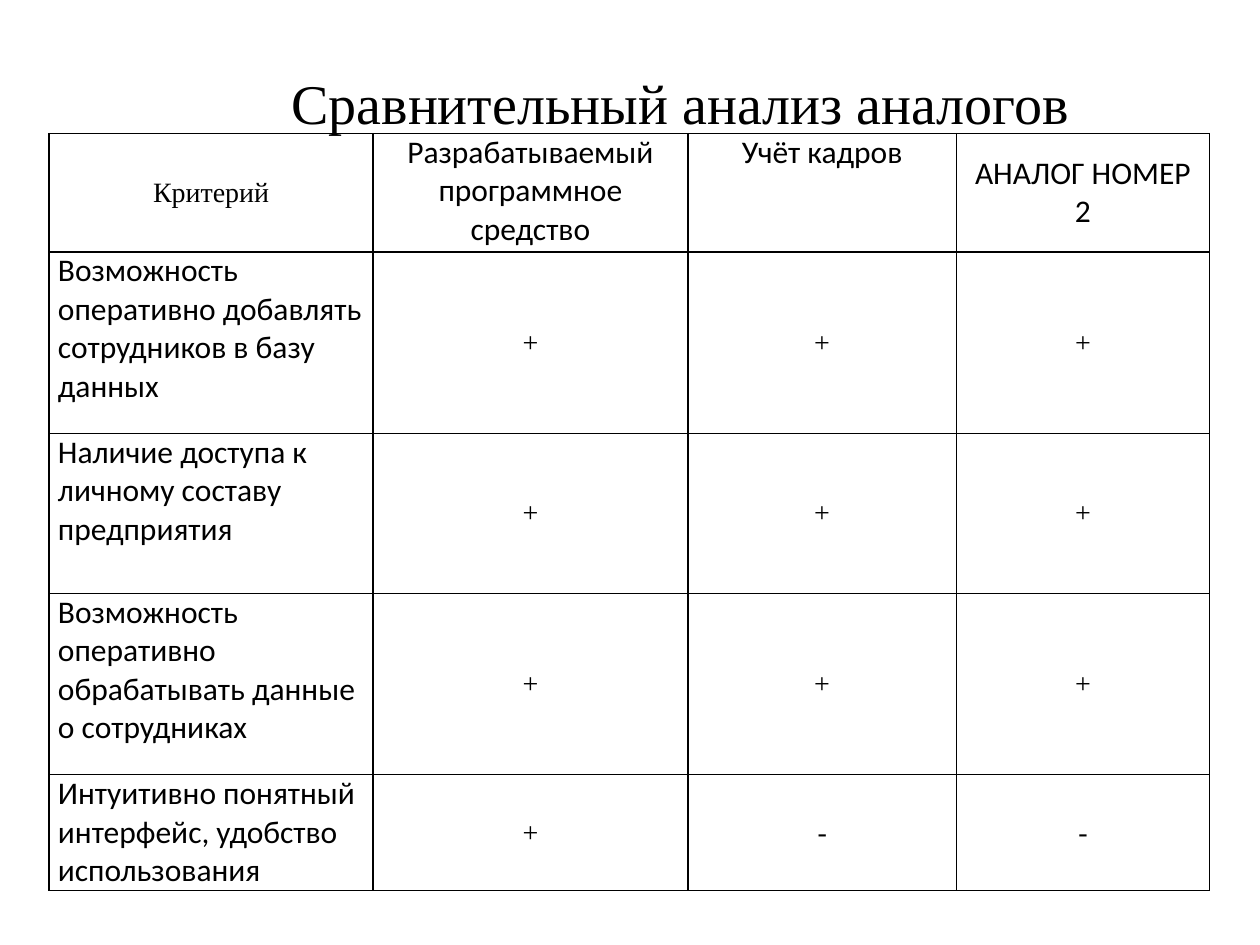
from lxml.etree import SubElement as Sub
from pptx import Presentation
from pptx.dml.color import RGBColor as RGB
from pptx.enum.text import MSO_ANCHOR as Anchor, PP_ALIGN as Align
from pptx.oxml.ns import qn
from pptx.util import Inches, Pt

TITLE = "Сравнительный анализ аналогов"
HEAD = ["Критерий", "Разрабатываемый программное средство", "Учёт кадров", "АНАЛОГ НОМЕР 2"]
ROWS = [
    ("Возможность оперативно добавлять сотрудников в базу данных", "+++"),
    ("Наличие доступа к личному составу предприятия", "+++"),
    ("Возможность оперативно обрабатывать данные о сотрудниках", "+++"),
    ("Интуитивно понятный интерфейс, удобство использования", "+--"),
]
WIDTHS = [2.57, 2.5, 2.13, 2.01]
HEIGHTS = [0.94, 1.44, 1.27, 1.44, 0.92]
COLORS = {"ink": "000000", "back": "FFFFFF"}
SERIF = {"name": "Times New Roman", "size": Pt(16)}
SANS = {"name": "Calibri", "size": Pt(18)}
PAD = {"margin_left": Inches(0.07), "margin_right": Inches(0.07),
       "margin_top": 0, "margin_bottom": 0}


def put(obj, values):
    for key, value in values.items():
        setattr(obj, key, value)


def write(frame, text, font, align):
    par = frame.paragraphs[0]
    par.alignment = align
    run = par.add_run()
    run.text = text
    put(run.font, font)
    run.font.color.rgb = RGB.from_string(COLORS["ink"])


def edge(cell):
    """Draw a 1 pt line on all four sides of the cell."""
    props = cell._tc.get_or_add_tcPr()
    for side in ("lnL", "lnR", "lnT", "lnB"):
        line = Sub(props, qn(f"a:{side}"), w=str(Pt(1)))
        fill = Sub(line, qn("a:solidFill"))
        Sub(fill, qn("a:srgbClr"), val=COLORS["ink"])


def style(row, col):
    """Return font, alignment and anchor for a place in the table."""
    if row == 0:
        return (SANS if col else SERIF, Align.CENTER,
                Anchor.TOP if col in (1, 2) else Anchor.MIDDLE)
    if col == 0:
        return SANS, Align.LEFT, Anchor.TOP
    return SERIF, Align.CENTER, Anchor.MIDDLE


def add_title(slide):
    title = slide.shapes.title
    put(title, {"left": Inches(1.42), "top": Inches(0.44),
                "width": Inches(7.17), "height": Inches(1.25)})
    put(title.text_frame, {"vertical_anchor": Anchor.TOP, "word_wrap": True,
                           "margin_top": Inches(0.1)})
    write(title.text_frame, TITLE, {**SERIF, "size": Pt(32)}, Align.RIGHT)


def add_grid(slide):
    data = [HEAD] + [[name, *marks] for name, marks in ROWS]
    table = slide.shapes.add_table(
        len(data), len(HEAD), Inches(0.39), Inches(1.06),
        Inches(sum(WIDTHS)), Inches(sum(HEIGHTS))).table
    put(table, {"first_row": False, "horz_banding": False})
    for col, width in zip(table.columns, WIDTHS):
        col.width = Inches(width)
    for row, height in zip(table.rows, HEIGHTS):
        row.height = Inches(height)
    for r, texts in enumerate(data):
        for c, text in enumerate(texts):
            cell = table.cell(r, c)
            font, align, anchor = style(r, c)
            put(cell, {**PAD, "vertical_anchor": anchor})
            edge(cell)
            cell.fill.background()
            write(cell.text_frame, text, font, align)


def main():
    deck = Presentation()
    put(deck, {"slide_width": Inches(10), "slide_height": Inches(7.5)})
    slide = deck.slides.add_slide(deck.slide_layouts[5])
    back = slide.background.fill
    back.solid()
    back.fore_color.rgb = RGB.from_string(COLORS["back"])
    add_title(slide)
    add_grid(slide)
    deck.save("out.pptx")


if __name__ == "__main__":
    main()
